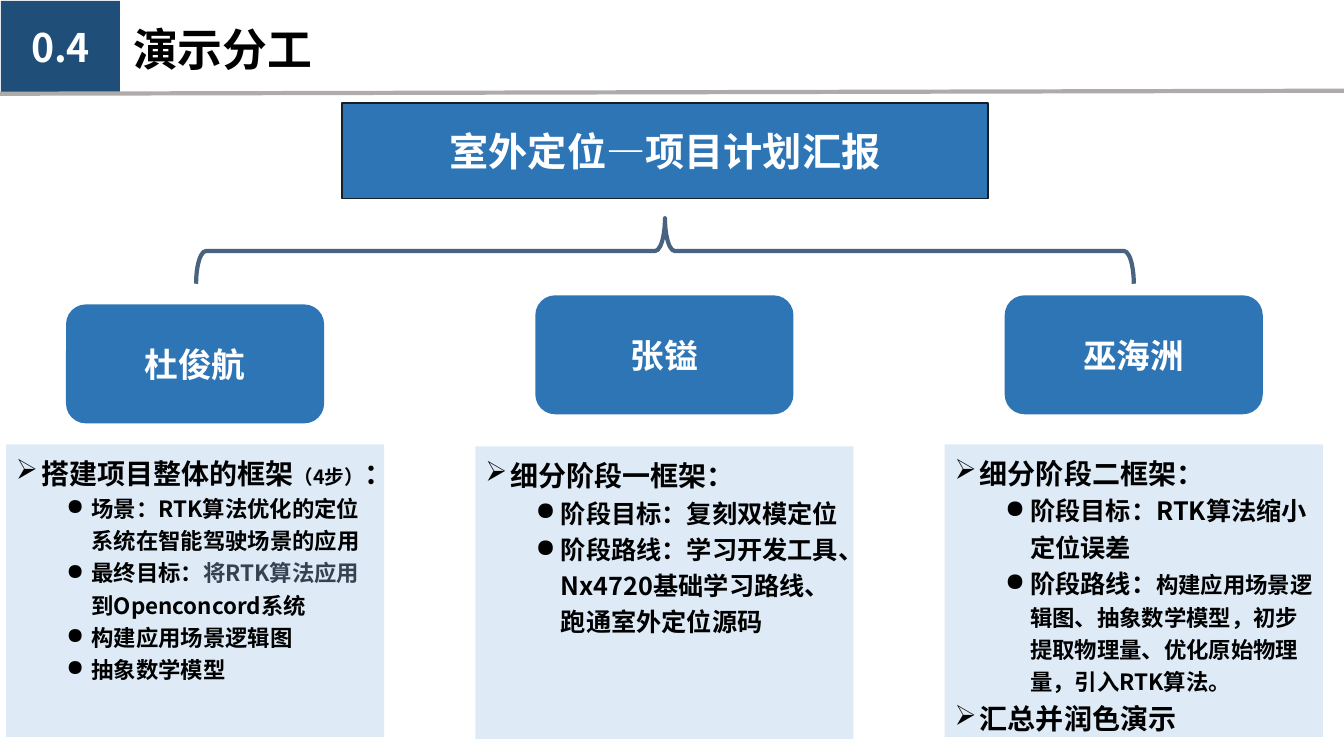
from lxml.etree import SubElement
from pptx import Presentation
from pptx.dml.color import RGBColor
from pptx.enum.shapes import MSO_CONNECTOR, MSO_SHAPE
from pptx.enum.text import MSO_ANCHOR, PP_ALIGN
from pptx.oxml.ns import qn
from pptx.util import Inches, Pt

FONT = "Noto Sans CJK SC"
COLORS = {
    "white": "FFFFFF", "black": "000000", "slate": "374151",
    "navy": "1F4E79", "blue": "2E75B6", "pale": "DEEBF7",
    "brace": "48637F", "outline": "151E26", "rule": "AFABAB",
}
BULLETS = ["➢", "●"]
INDENTS = [0.25, 0.75]

# Each member: name, name-box top, task-box top, tasks as (level, [(text, size, color)])
MEMBERS = [
    ("杜俊航", 3.02, 4.41, [
        (0, [("搭建项目整体的框架", 20, "black"), ("（4步）", 14, "black"), ("：", 20, "black")]),
        (1, [("场景：RTK算法优化的定位系统在智能驾驶场景的应用", 16, "black")]),
        (1, [("最终目标：", 16, "black"), ("将RTK算法应用", 16, "slate"),
             ("到Openconcord系统", 16, "black")]),
        (1, [("构建应用场景逻辑图", 16, "black")]),
        (1, [("抽象数学模型", 16, "black")]),
    ]),
    ("张镒", 2.93, 4.43, [
        (0, [("细分阶段一框架：", 20, "black")]),
        (1, [("阶段目标：复刻双模定位", 18, "black")]),
        (1, [("阶段路线：学习开发工具、Nx4720基础学习路线、跑通室外定位源码", 18, "black")]),
    ]),
    ("巫海洲", 2.93, 4.41, [
        (0, [("细分阶段二框架：", 20, "black")]),
        (1, [("阶段目标：RTK算法缩小定位误差", 18, "black")]),
        (1, [("阶段路线：", 18, "black"),
             ("构建应用场景逻辑图、抽象数学模型，初步提取物理量、优化原始物理量，引入RTK算法。",
              16, "black")]),
        (0, [("汇总并润色演示", 20, "black")]),
    ]),
]


def rgb(name):
    """Look up a colour by name."""
    return RGBColor.from_string(COLORS[name])


def style_run(run, size, color):
    """Make a run bold in the slide font, for Latin and Chinese text."""
    run.font.name, run.font.size, run.font.bold = FONT, Pt(size), True
    run.font.color.rgb = rgb(color)
    SubElement(run.font._element, qn("a:ea")).set("typeface", FONT)


def add_block(slide, preset, box, fill, line=None, line_width=1):
    """Add a flat filled shape in box (left, top, width, height)."""
    block = slide.shapes.add_shape(preset, *map(Inches, box))
    block.shadow.inherit = False
    block.fill.solid()
    block.fill.fore_color.rgb = rgb(fill)
    if line:
        block.line.color.rgb = rgb(line)
        block.line.width = Pt(line_width)
    else:
        block.line.fill.background()
    return block


def add_label(slide, preset, box, text, size, fill, line=None):
    """Add a block with one centred white label."""
    frame = add_block(slide, preset, box, fill, line).text_frame
    frame.text = text
    frame.vertical_anchor = MSO_ANCHOR.MIDDLE
    frame.paragraphs[0].alignment = PP_ALIGN.CENTER
    style_run(frame.paragraphs[0].runs[0], size, "white")
    return frame


def add_header(slide, box):
    """Add the section number, the title and the rule along the bottom of box."""
    left, top, width, height = box
    add_label(slide, MSO_SHAPE.RECTANGLE, (left + 0.01, top + 0.01, 1.18, height - 0.01),
              "0.4", 28, "navy")
    title = slide.shapes.title
    title.left, title.top = Inches(left + 1.22), Inches(top + 0.17)
    title.width, title.height = Inches(7.29), Inches(0.64)
    title.text_frame.text = "演示分工"
    title.text_frame.vertical_anchor = MSO_ANCHOR.TOP
    title.text_frame.paragraphs[0].alignment = PP_ALIGN.LEFT
    style_run(title.text_frame.paragraphs[0].runs[0], 32, "black")

    bottom = top + height
    rule = slide.shapes.add_connector(
        MSO_CONNECTOR.STRAIGHT, Inches(left), Inches(bottom + 0.01),
        Inches(left + width), Inches(bottom - 0.02))
    rule.line.color.rgb = rgb("rule")
    rule.line.width = Pt(3)
    SubElement(rule._element.spPr, qn("a:effectLst"))


def add_project(slide, box):
    """Add the project box and, below it, the brace that spans the members."""
    left, top, width, height = box
    add_label(slide, MSO_SHAPE.RECTANGLE, box, "室外定位—项目计划汇报", 28, "blue", "outline")
    depth, span = 0.65, 9.3
    center_x, center_y = left + width / 2, top + height + 0.52
    brace = add_block(slide, MSO_SHAPE.LEFT_BRACE,
                      (center_x - depth / 2, center_y - span / 2, depth, span),
                      "white", "brace", 3)
    brace.rotation = 90
    brace.adjustments[0] = 0.15
    brace.adjustments[1] = 0.5


def add_tasks(slide, box, tasks):
    """Add a pale box with a two-level bulleted task list."""
    frame = add_block(slide, MSO_SHAPE.RECTANGLE, box, "pale").text_frame
    frame.word_wrap = True
    frame.vertical_anchor = MSO_ANCHOR.TOP
    for index, (level, parts) in enumerate(tasks):
        task = frame.add_paragraph() if index else frame.paragraphs[0]
        task.level, task.line_spacing, task.alignment = level, 1.2, PP_ALIGN.LEFT
        properties = task._p.get_or_add_pPr()
        properties.set("marL", str(Inches(INDENTS[level])))
        properties.set("indent", str(Inches(-0.25)))
        SubElement(properties, qn("a:buChar")).set("char", BULLETS[level])
        for text, size, color in parts:
            run = task.add_run()
            run.text = text
            style_run(run, size, color)


def add_member(slide, box, name, name_top, tasks):
    """Add a member's tasks in box, with the name box centred above it."""
    left, top, width, height = box
    name_width = 2.56
    name_box = (left + (width - name_width) / 2, name_top, name_width, 1.18)
    frame = add_label(slide, MSO_SHAPE.ROUNDED_RECTANGLE, name_box, name, 24, "blue")
    frame.word_wrap = False
    add_tasks(slide, box, tasks)


def build():
    """Build the slide and save it."""
    deck = Presentation()
    deck.slide_width, deck.slide_height = Inches(13.33), Inches(7.5)
    slide = deck.slides.add_slide(deck.slide_layouts[5])
    add_header(slide, (0, 0, 13.33, 0.92))
    for column, (name, name_top, task_top, tasks) in enumerate(MEMBERS):
        add_member(slide, (0.06 + 4.655 * column, task_top, 3.75, 2.9), name, name_top, tasks)
    add_project(slide, (3.39, 1.02, 6.41, 0.95))
    deck.save("out.pptx")


build()
